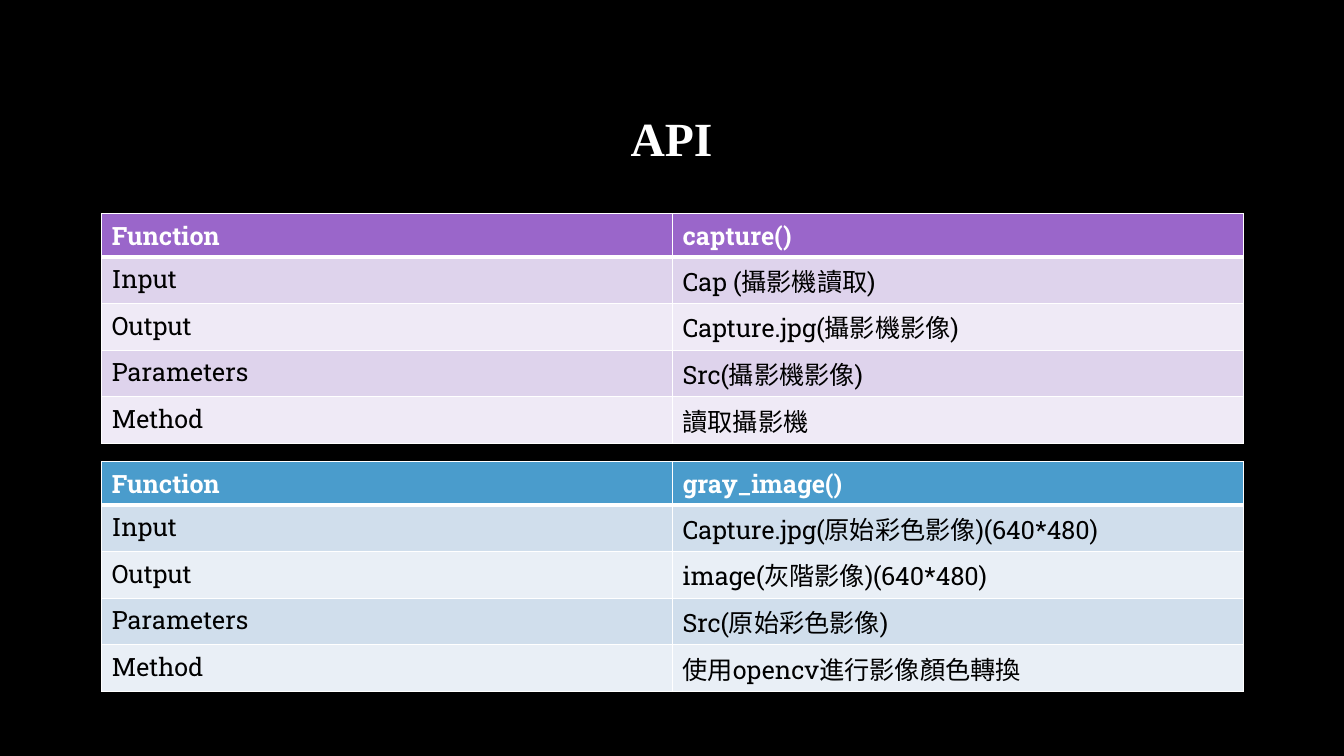
from lxml.etree import SubElement
from pptx import Presentation
from pptx.dml.color import RGBColor
from pptx.enum.text import MSO_ANCHOR, PP_ALIGN
from pptx.oxml.ns import qn
from pptx.util import Inches, Pt

COLORS = {
    "background": "000000", "white": "FFFFFF", "black": "000000",
    "purple": "9A66CA", "purple_mid": "DED3EC", "purple_pale": "EFEAF6",
    "blue": "4A9CCC", "blue_mid": "D0DEEC", "blue_pale": "E9EFF6",
}
TITLE = "API"
LABELS = ["Function", "Input", "Output", "Parameters", "Method"]
FUNCTIONS = [
    ("purple", ["capture()", "Cap (攝影機讀取)", "Capture.jpg(攝影機影像)",
                "Src(攝影機影像)", "讀取攝影機"]),
    ("blue", ["gray_image()", "Capture.jpg(原始彩色影像)(640*480)",
              "image(灰階影像)(640*480)", "Src(原始彩色影像)",
              "使用opencv進行影像顏色轉換"]),
]
LEFT, TOP, WIDTH = 1.01, 2.12, 11.32
HEADER_HEIGHT, ROW_HEIGHT, TABLE_STEP = 0.43, 0.46, 2.46
TABLE_HEIGHT = HEADER_HEIGHT + ROW_HEIGHT * (len(LABELS) - 1)


def color(name):
    return RGBColor.from_string(COLORS[name])


def add_text(para, text, font, size, ink, bold):
    span = para.add_run()
    span.text = text
    span.font.name = font
    span.font.size = Pt(size)
    span.font.bold = bold
    span.font.color.rgb = color(ink)


def add_borders(cell, widths):
    properties = cell._tc.get_or_add_tcPr()
    for side, points in widths.items():
        line = SubElement(properties, qn(f"a:ln{side}"), w=str(Pt(points)))
        fill = SubElement(line, qn("a:solidFill"))
        SubElement(fill, qn("a:srgbClr"), val=COLORS["white"])


def add_function_table(page, top, theme, values):
    table = page.shapes.add_table(
        len(LABELS), 2, Inches(LEFT), Inches(top),
        Inches(WIDTH), Inches(TABLE_HEIGHT)).table
    for column in table.columns:
        column.width = Inches(WIDTH / 2)
    for index, entries in enumerate(zip(LABELS, values)):
        header = index == 0
        table.rows[index].height = Inches(HEADER_HEIGHT if header else ROW_HEIGHT)
        shade = theme if header else theme + ("_mid" if index % 2 else "_pale")
        for column, text in enumerate(entries):
            cell = table.cell(index, column)
            add_borders(cell, {"L": 1, "R": 1, "T": 3 if index == 1 else 1,
                               "B": 3 if header else 1})
            cell.fill.solid()
            cell.fill.fore_color.rgb = color(shade)
            add_text(cell.text_frame.paragraphs[0], text, "Roboto Slab", 18,
                     "white" if header else "black", header)


def main():
    deck = Presentation()
    deck.slide_width, deck.slide_height = Inches(13.33), Inches(7.5)
    page = deck.slides.add_slide(deck.slide_layouts[5])
    page.background.fill.solid()
    page.background.fill.fore_color.rgb = color("background")

    title = page.shapes.title
    title.left, title.top = Inches(1), Inches(0.67)
    title.width, title.height = Inches(WIDTH), Inches(1.45)
    title.text_frame.vertical_anchor = MSO_ANCHOR.MIDDLE
    para = title.text_frame.paragraphs[0]
    para.alignment = PP_ALIGN.CENTER
    para.line_spacing = 0.9
    add_text(para, TITLE, "Times New Roman", 34, "white", True)

    for index, (theme, values) in enumerate(FUNCTIONS):
        add_function_table(page, TOP + index * TABLE_STEP, theme, values)
    deck.save("out.pptx")


if __name__ == "__main__":
    main()
